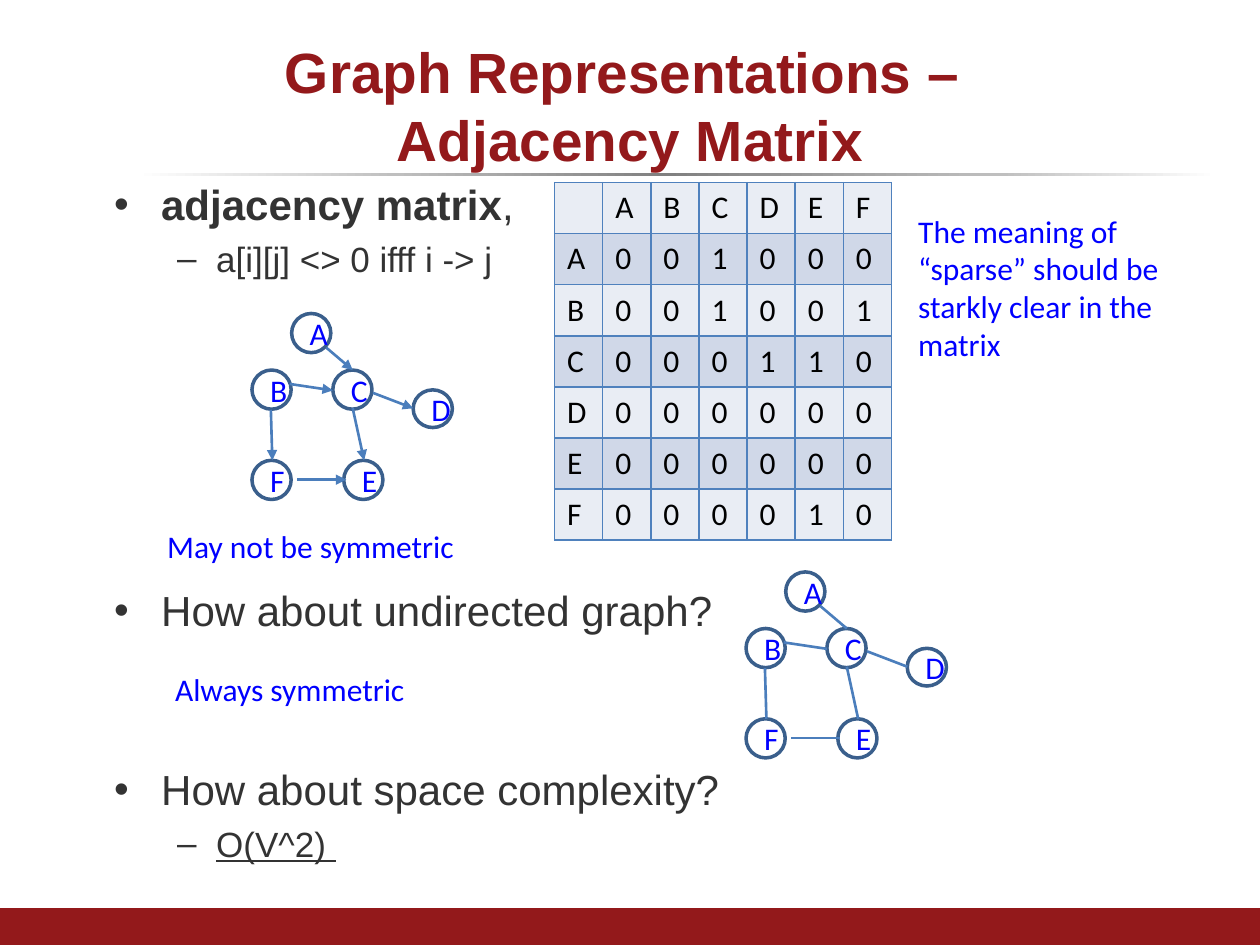
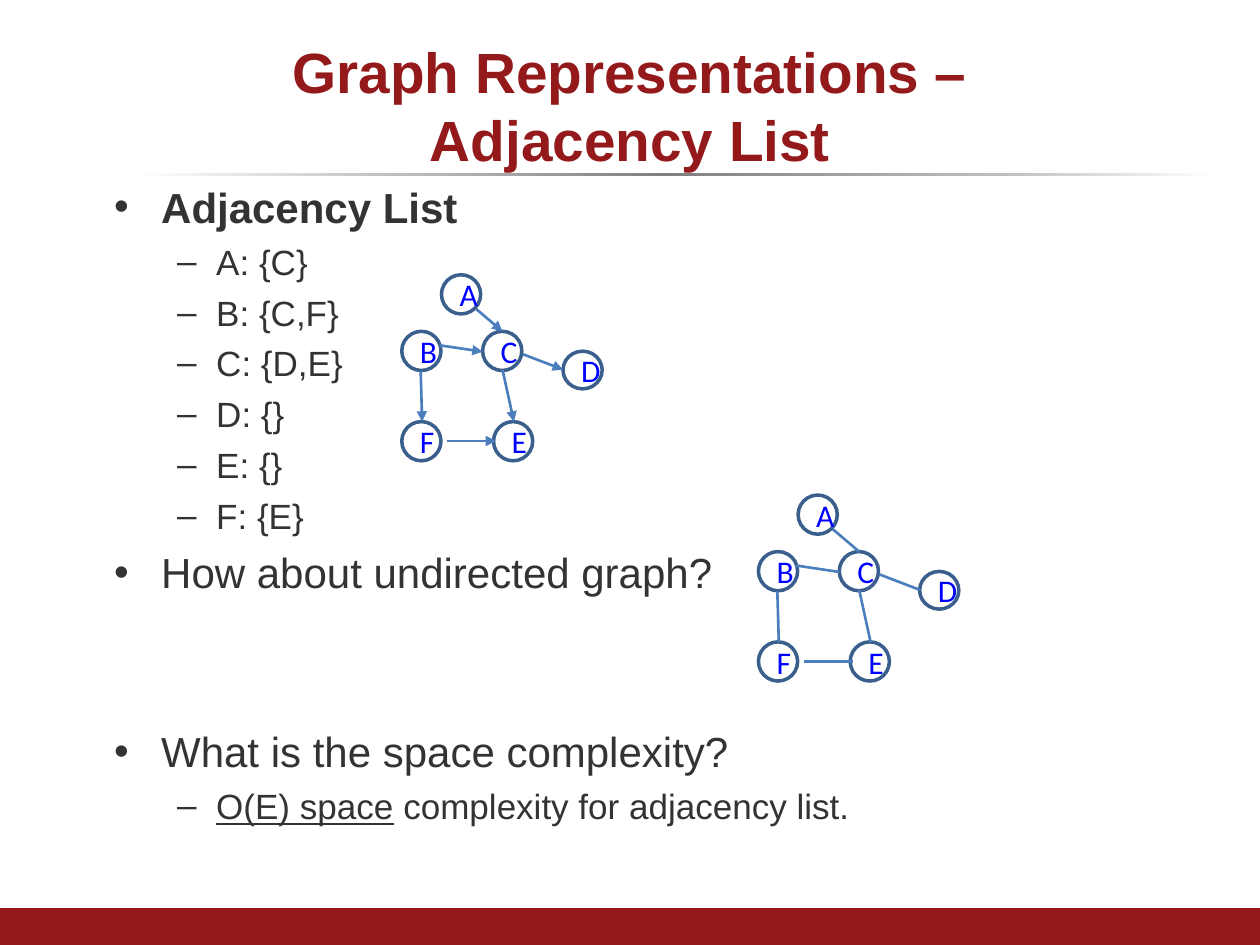
from lxml import etree
from pptx import Presentation
from pptx.dml.color import RGBColor
from pptx.enum.shapes import MSO_CONNECTOR, MSO_SHAPE
from pptx.enum.text import MSO_ANCHOR, MSO_AUTO_SIZE, PP_ALIGN
from pptx.oxml.ns import qn
from pptx.util import Cm, Pt

OVAL, RECT, STRAIGHT = MSO_SHAPE.OVAL, MSO_SHAPE.RECTANGLE, MSO_CONNECTOR.STRAIGHT
CENTER, MIDDLE, NO_FIT = PP_ALIGN.CENTER, MSO_ANCHOR.MIDDLE, MSO_AUTO_SIZE.NONE

# Shared style
HEAD_FONT, NOTE_FONT = "Arial", "Calibri"
RED, INK, BLUE, BLACK = "93191B", "333333", "0000FF", "000000"
NODE_LINE, EDGE_LINE, GRID_LINE = "3A5F8C", "4B7EBC", "4F81BD"
ROW_FILLS = ["E9EDF4", "D0D8E8"]
RULE_STOPS = [(0, "FFFFFF"), (24, "BFBFBF"), (49, "808080"), (80, "BFBFBF"), (100, "FFFFFF")]

# Bullet levels: size, left margin, indent, space before, mark
LEVELS = [(24, 1.73, -0.95, 6, "•"), (20, 2.84, -0.79, 5, "–")]

# The sample graph; places are in cm from its top left corner
ADJACENT = {"A": "C", "B": "CF", "C": "DE", "D": "", "E": "", "F": "E"}
NODES = {"A": (0.8, 0), "B": (0, 1.14), "C": (1.63, 1.14),
         "F": (0, 2.96), "E": (1.85, 2.96), "D": (3.25, 1.54)}
EDGES = [(1.5, 0.69, 2.03, 1.14), (2.44, 1.6, 3.25, 1.91), (2.03, 1.91, 2.26, 2.96),
         (0.76, 1.42, 1.63, 1.55), (0.38, 1.94, 0.41, 2.96), (0.91, 3.35, 1.9, 3.35)]


def rgb(color):
    return RGBColor.from_string(color)


def style(font, size, color, name, bold=False, underline=False):
    font.size, font.name = Pt(size), name
    font.color.rgb = rgb(color)
    font.bold, font.underline = bold, underline


def add_solid(s, left, top, width, height, color):
    sp = s.shapes.add_shape(RECT, Cm(left), Cm(top), Cm(width), Cm(height))
    sp.shadow.inherit = False
    sp.fill.solid()
    sp.fill.fore_color.rgb = rgb(color)
    sp.line.fill.background()
    return sp


def add_frame(s):
    """Fading rule under the title and the band at the foot."""
    rule = add_solid(s, 2.74, 3.48, 21.8, 0.08, "808080")
    rule.fill.gradient()
    rule.fill.gradient_angle = 0
    stops = rule.element.spPr.find(qn("a:gradFill")).find(qn("a:gsLst"))
    for old in list(stops):
        stops.remove(old)
    for percent, color in RULE_STOPS:
        stop = etree.SubElement(stops, qn("a:gs"), pos=str(percent * 1000))
        etree.SubElement(stop, qn("a:srgbClr"), val=color)
    add_solid(s, 0, 18.31, 25.4, 0.74, RED)


def add_slide(prs, title):
    s = prs.slides.add_slide(prs.slide_layouts[5])
    add_frame(s)
    sp = s.shapes.title
    sp.left, sp.top, sp.width, sp.height = Cm(1.27), Cm(0.76), Cm(22.86), Cm(2.72)
    tf = sp.text_frame
    tf.text = title
    tf.auto_size, tf.vertical_anchor = NO_FIT, MIDDLE
    p = tf.paragraphs[0]
    p.alignment = CENTER
    for r in p.runs:
        style(r.font, 32.4, RED, HEAD_FONT, bold=True)
    return s


def add_textbox(s, left, top, width, height):
    tf = s.shapes.add_textbox(Cm(left), Cm(top), Cm(width), Cm(height)).text_frame
    tf.word_wrap = True
    return tf


def add_bullets(s, top, items):
    """Each item is its level, the space before (None: usual) and its runs."""
    tf = add_textbox(s, 1.27, top, 22.86, 14.4)
    for i, (level, space, runs) in enumerate(items):
        size, margin, indent, usual_space, mark = LEVELS[level]
        p = tf.add_paragraph() if i else tf.paragraphs[0]
        p.level = level
        p.space_before = Pt(usual_space if space is None else space)
        pPr = p._p.get_or_add_pPr()
        pPr.set("marL", str(Cm(margin)))
        pPr.set("indent", str(Cm(indent)))
        etree.SubElement(pPr, qn("a:buFont"), typeface=HEAD_FONT)
        etree.SubElement(pPr, qn("a:buChar"), char=mark)
        for text, looks in runs:
            r = p.add_run()
            r.text = text
            style(r.font, size, INK, HEAD_FONT, "b" in looks, "u" in looks)


def add_note(s, left, top, width, height, text):
    tf = add_textbox(s, left, top, width, height)
    tf.text = text
    style(tf.paragraphs[0].runs[0].font, 18, BLUE, NOTE_FONT)


def add_node(s, left, top, height, name):
    sp = s.shapes.add_shape(OVAL, Cm(left), Cm(top), Cm(0.79), Cm(height))
    sp.shadow.inherit = False
    sp.fill.background()
    sp.line.color.rgb = rgb(NODE_LINE)
    sp.line.width = Pt(2)
    tf = sp.text_frame
    tf.text = name
    tf.word_wrap, tf.vertical_anchor = True, MIDDLE
    p = tf.paragraphs[0]
    p.alignment = CENTER
    style(p.runs[0].font, 18, BLUE, NOTE_FONT)


def add_edge(s, x1, y1, x2, y2, directed):
    line = s.shapes.add_connector(STRAIGHT, Cm(x1), Cm(y1), Cm(x2), Cm(y2))
    line.line.color.rgb = rgb(EDGE_LINE)
    line.line.width = Pt(1.5)
    if directed:
        etree.SubElement(line.line._get_or_add_ln(), qn("a:tailEnd"), type="triangle")
    etree.SubElement(line.element.spPr, qn("a:effectLst"))


def add_graph(s, left, top, directed):
    for name, (x, y) in NODES.items():
        add_node(s, left + x, top + y, 0.76 if name == "D" else 0.79, name)
    for x1, y1, x2, y2 in EDGES:
        add_edge(s, left + x1, top + y1, left + x2, top + y2, directed)


def add_borders(cell):
    tcPr = cell._tc.get_or_add_tcPr()
    for i, side in enumerate(("a:lnL", "a:lnR", "a:lnT", "a:lnB")):
        ln = etree.Element(qn(side), w=str(Pt(1)))
        fill = etree.SubElement(ln, qn("a:solidFill"))
        etree.SubElement(fill, qn("a:srgbClr"), val=GRID_LINE)
        tcPr.insert(i, ln)


def add_matrix(s, left, top):
    rows = [["", *ADJACENT]]
    for name, targets in ADJACENT.items():
        rows.append([name] + [str(int(other in targets)) for other in ADJACENT])
    n = len(rows)
    table = s.shapes.add_table(n, n, Cm(left), Cm(top), Cm(0.97 * n), Cm(1.03 * n)).table
    table.first_row = table.horz_banding = False
    for i, row in enumerate(rows):
        for j, text in enumerate(row):
            cell = table.cell(i, j)
            cell.text = text
            cell.fill.solid()
            cell.fill.fore_color.rgb = rgb(ROW_FILLS[i % 2])
            add_borders(cell)
            for r in cell.text_frame.paragraphs[0].runs:
                style(r.font, 18, BLACK, NOTE_FONT)


def matrix_slide(prs):
    s = add_slide(prs, "Graph Representations – \vAdjacency Matrix")
    add_bullets(s, 3.48, [
        (0, 3, [("adjacency matrix", "b"), (",", "")]),
        (1, None, [("a[i][j] <> 0 ifff i -> j", "")]),
        (0, 174, [("How about undirected graph?", "")]),
        (0, 73.5, [("How about space complexity?", "")]),
        (1, None, [("O(V^2) ", "u")]),
    ])
    add_graph(s, 5.08, 6.32, directed=True)
    add_matrix(s, 11.18, 3.68)
    add_graph(s, 15.04, 11.53, directed=False)
    add_note(s, 18.26, 4.14, 6.22, 3.33,
             "The meaning of “sparse” should be starkly clear in the matrix")
    add_note(s, 3.12, 10.49, 7.14, 1.02, "May not be symmetric")
    add_note(s, 3.28, 13.39, 7.14, 1.02, "Always symmetric")


def list_slide(prs):
    s = add_slide(prs, "Graph Representations –\vAdjacency List")
    neighbours = [(1, None, [(f"{name}: {{{','.join(targets)}}}", "")])
                  for name, targets in ADJACENT.items()]
    add_bullets(s, 3.53, [
        (0, 3, [("Adjacency List", "b")]),
        *neighbours,
        (0, None, [("How about undirected graph?", "")]),
        (0, 73.5, [("What is the space complexity?", "")]),
        (1, None, [("O(E) space", "u"), (" complexity for adjacency list.", "")]),
    ])
    add_graph(s, 8.1, 5.54, directed=True)
    add_graph(s, 15.29, 9.98, directed=False)


def main():
    prs = Presentation()
    prs.slide_width, prs.slide_height = Cm(25.4), Cm(19.05)
    matrix_slide(prs)
    list_slide(prs)
    prs.save("out.pptx")


if __name__ == "__main__":
    main()
